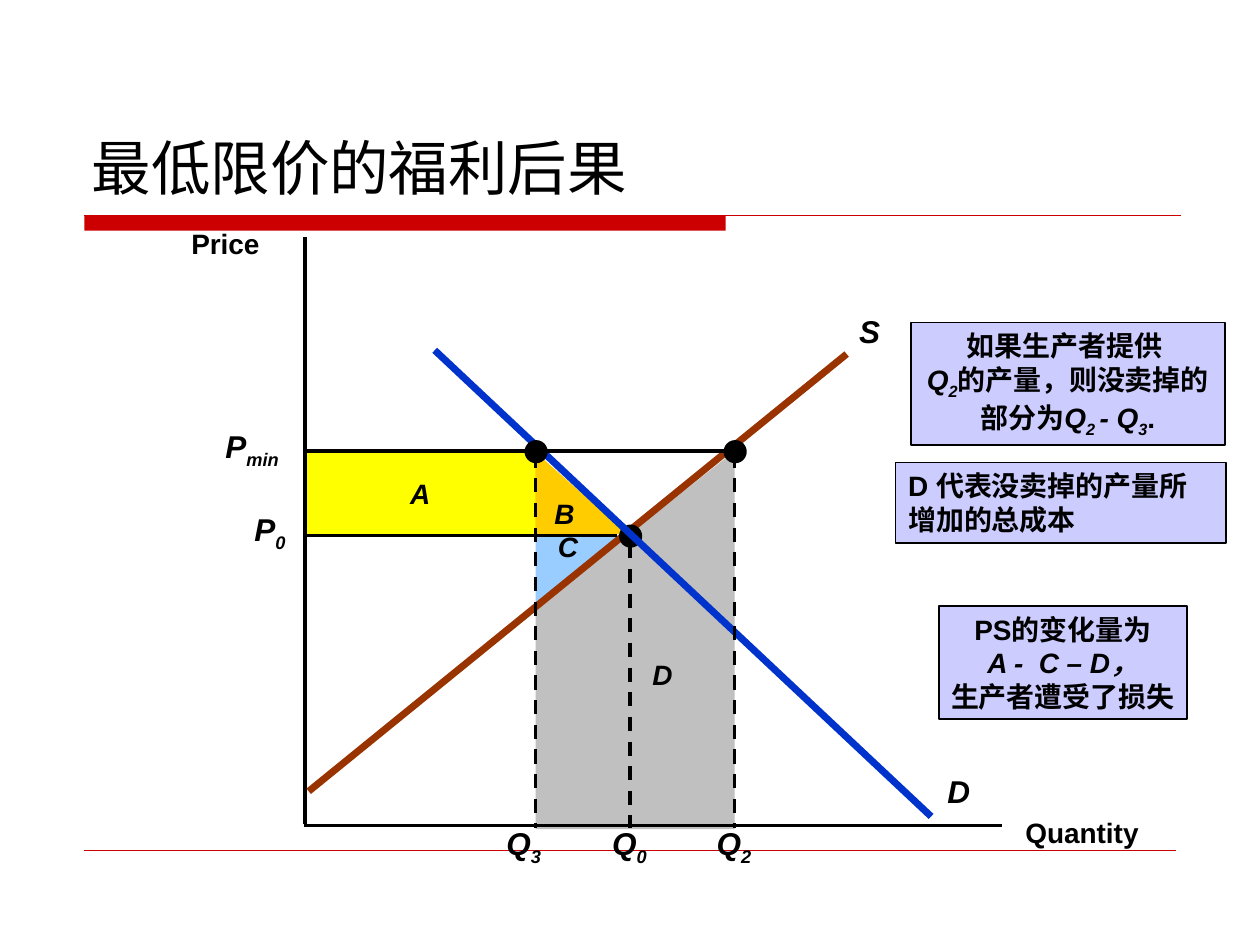
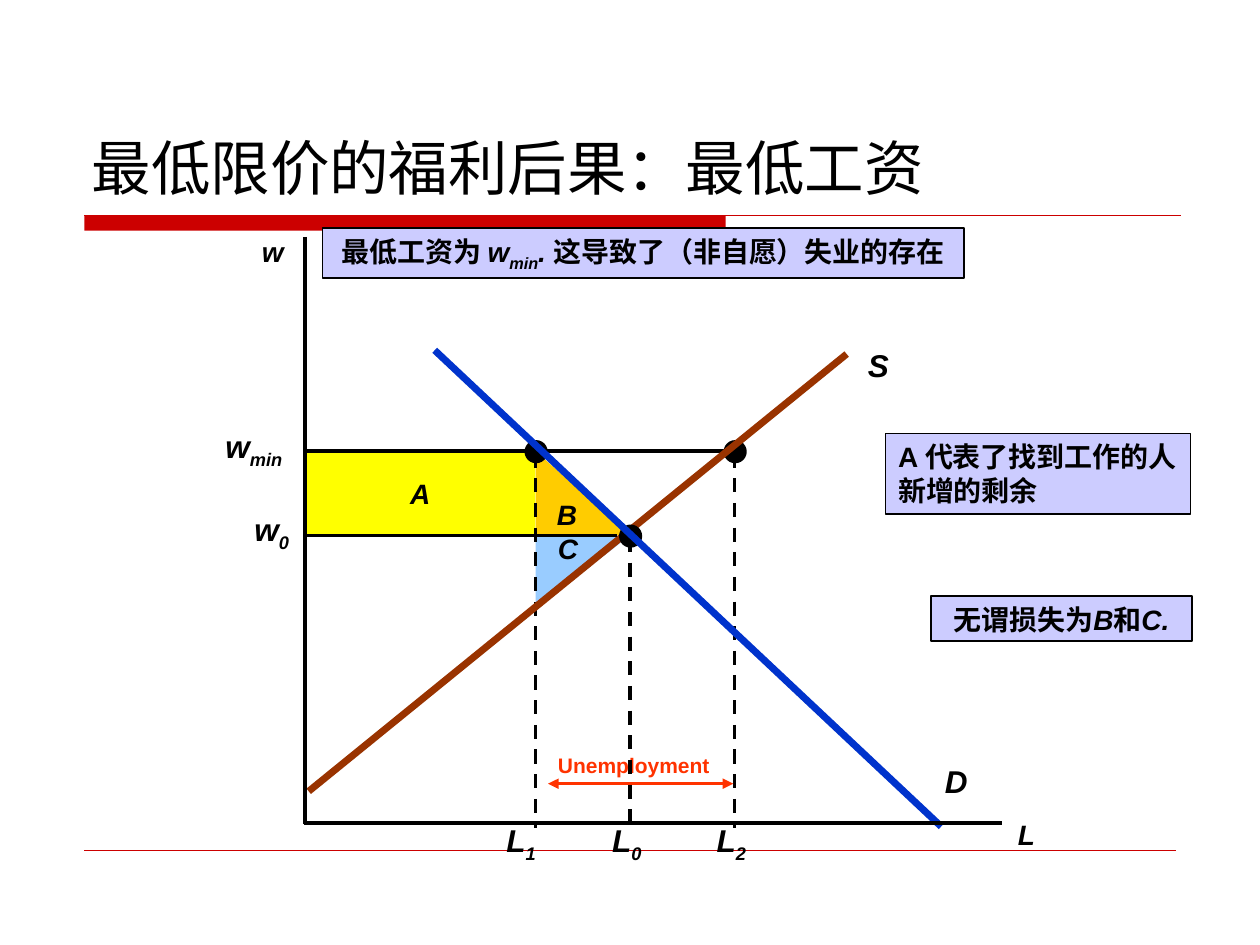
from typing import Iterator, NamedTuple, Union

from lxml import etree
from pptx import Presentation
from pptx import util as u
from pptx.dml.color import RGBColor
from pptx.enum import dml, shapes, text
from pptx.oxml.ns import qn

PX = 9144
ARIAL = "Arial"
TITLE_FONT = "DejaVu Sans"
BLACK = RGBColor(0x00, 0x00, 0x00)
RED = RGBColor(0xCC, 0x00, 0x00)
ORANGE = RGBColor(0xFF, 0x33, 0x00)
AMBER = RGBColor(0xFF, 0xCC, 0x00)
YELLOW = RGBColor(0xFF, 0xFF, 0x00)
SKY = RGBColor(0x99, 0xCC, 0xFF)
GREY = RGBColor(0xC0, 0xC0, 0xC0)
LILAC = RGBColor(0xCC, 0xCC, 0xFF)
BROWN = RGBColor(0x99, 0x33, 0x00)
BLUE = RGBColor(0x00, 0x33, 0xCC)

RECT = shapes.MSO_SHAPE.RECTANGLE
OVAL = shapes.MSO_SHAPE.OVAL
TRIANGLE = shapes.MSO_SHAPE.RIGHT_TRIANGLE
LEFT, CENTER = text.PP_ALIGN.LEFT, text.PP_ALIGN.CENTER
TOP, MIDDLE, BOTTOM = (text.MSO_ANCHOR.TOP, text.MSO_ANCHOR.MIDDLE,
                       text.MSO_ANCHOR.BOTTOM)

AXIS_X = 242
Q_LOW, Q_EQ, Q_HIGH = 425, 500, 583
P_MIN, P_EQ, P_LOW = 358, 425, 483
DROP_END = 657
DOT = 17


class Line(NamedTuple):
    x1: int
    y1: int
    x2: int
    y2: int
    color: RGBColor = BLACK
    width: float = 2
    dashed: bool = False
    arrows: bool = False


class Label(NamedTuple):
    x: int
    y: int
    w: int
    h: int
    text: str
    size: int = 16
    color: RGBColor = BLACK


class Note(NamedTuple):
    x: int
    y: int
    w: int
    h: int
    text: str
    width: float = 1
    align: text.PP_ALIGN = CENTER
    wrap: bool = False


class Area(NamedTuple):
    x: int
    y: int
    w: int
    h: int
    color: RGBColor
    kind: shapes.MSO_SHAPE = RECT
    text: str = ""
    flipped: bool = False


class Outline(NamedTuple):
    points: tuple
    color: RGBColor


class Dot(NamedTuple):
    x: int
    y: int


Item = Union[Line, Label, Note, Area, Outline, Dot]


def italic_and_subscript_parts(s: str) -> Iterator[tuple]:
    for i, part in enumerate(s.split("*")):
        for j, piece in enumerate(part.split("~")):
            if piece:
                yield piece, i % 2 == 1, j % 2 == 1


def write(sp, s: str, *, size: int = 16, font: str = ARIAL,
          color: RGBColor = BLACK, bold: bool = True, align=LEFT,
          anchor=TOP, wrap: bool = False, grow: bool = True) -> None:
    tf = sp.text_frame
    tf.word_wrap = wrap
    tf.vertical_anchor = anchor
    tf.auto_size = (text.MSO_AUTO_SIZE.SHAPE_TO_FIT_TEXT if grow
                    else text.MSO_AUTO_SIZE.NONE)
    for i, row in enumerate(s.split("\n")):
        p = tf.add_paragraph() if i else tf.paragraphs[0]
        p.alignment = align
        for piece, italic, sub in italic_and_subscript_parts(row):
            r = p.add_run()
            r.text = piece
            f = r.font
            f.name, f.size, f.bold, f.italic = font, u.Pt(size), bold, italic
            f.color.rgb = color
            if sub:
                r._r.get_or_add_rPr().set("baseline", "-25000")


def paint(sp, fill: RGBColor, line: float = 0) -> None:
    sp.shadow.inherit = False
    sp.fill.solid()
    sp.fill.fore_color.rgb = fill
    if line:
        sp.line.color.rgb = BLACK
        sp.line.width = u.Pt(line)
    else:
        sp.line.fill.background()


def add_box(s, kind, x: int, y: int, w: int, h: int):
    return s.shapes.add_shape(kind, x * PX, y * PX, w * PX, h * PX)


def add_text(s, x: int, y: int, w: int, h: int, content: str, **fmt) -> None:
    sp = s.shapes.add_textbox(x * PX, y * PX, w * PX, h * PX)
    write(sp, content, wrap=True, **fmt)


def draw_line(s, item: Line) -> None:
    sp = s.shapes.add_connector(
        shapes.MSO_CONNECTOR.STRAIGHT,
        item.x1 * PX, item.y1 * PX, item.x2 * PX, item.y2 * PX)
    sp.line.color.rgb = item.color
    sp.line.width = u.Pt(item.width)
    if item.dashed:
        sp.line.dash_style = dml.MSO_LINE.DASH
    if item.arrows:
        ln = sp.line._get_or_add_ln()
        for end in ("a:headEnd", "a:tailEnd"):
            etree.SubElement(ln, qn(end)).set("type", "triangle")
    etree.SubElement(sp._element.spPr, qn("a:effectLst"))


def draw_area(s, item: Area) -> None:
    sp = add_box(s, item.kind, item.x, item.y, item.w, item.h)
    paint(sp, item.color)
    if item.flipped:
        sp.rotation = 180
        sp._element.spPr.xfrm.set("flipH", "1")
    if item.text:
        write(sp, item.text, align=CENTER, anchor=MIDDLE, grow=False)


def draw_note(s, item: Note) -> None:
    sp = add_box(s, RECT, item.x, item.y, item.w, item.h)
    paint(sp, LILAC, item.width)
    write(sp, item.text, align=item.align, wrap=item.wrap)


def draw_outline(s, item: Outline) -> None:
    start, *rest = item.points
    fb = s.shapes.build_freeform(*start, scale=PX)
    fb.add_line_segments(rest, close=True)
    paint(fb.convert_to_shape(), item.color)


def draw_label(s, item: Label) -> None:
    add_text(s, item.x, item.y, item.w, item.h, item.text,
             size=item.size, color=item.color)


def draw_dot(s, item: Dot) -> None:
    half = DOT // 2
    paint(add_box(s, OVAL, item.x - half, item.y - half, DOT, DOT), BLACK, 1)


DRAW = {Line: draw_line, Label: draw_label, Note: draw_note, Area: draw_area,
        Outline: draw_outline, Dot: draw_dot}


def drop(x: int, y: int) -> Line:
    return Line(x, y, x, DROP_END, dashed=True)


def axes(y: int) -> list[Item]:
    return [Line(AXIS_X, 188, AXIS_X, 654), Line(241, y, 795, y)]


def quantity_labels(y: int, names: tuple) -> list[Item]:
    return [Label(x, y, 56, 44, f"*{name}*", 18)
            for x, name in zip((392, 476, 559), names)]


def price_labels(name: str) -> list[Item]:
    return [Label(169, 334, 74, 44, f"*{name}~min~*", 18),
            Label(192, 400, 56, 44, f"*{name}~0~*", 18)]


def add_frame(s, title: str) -> None:
    paint(add_box(s, RECT, 67, 171, 509, 12), RED)
    draw_line(s, Line(67, 171, 937, 171, RED, 1))
    draw_line(s, Line(67, 675, 933, 675, RED, 0.25))
    add_text(s, 63, 33, 875, 133, title, size=34, font=TITLE_FONT,
             bold=False, anchor=BOTTOM, grow=False)


SUPPLY = Line(245, 628, 672, 281, BROWN, 4)
EQ_LINE = Line(243, P_EQ, 490, P_EQ)
AREA_A = Area(AXIS_X, P_MIN, 183, 67, YELLOW, text="*A*")
AREA_C = Area(Q_LOW, P_EQ, 75, 58, SKY, TRIANGLE, flipped=True)
LOW_DROP, HIGH_DROP = drop(Q_LOW, 360), drop(Q_HIGH, 360)
LOW_DOT, EQ_DOT, HIGH_DOT = (Dot(Q_LOW, P_MIN), Dot(Q_EQ, P_EQ),
                             Dot(Q_HIGH, P_MIN))

PRICE_FLOOR: list[Item] = [
    Area(423, 357, 75, 67, AMBER, TRIANGLE, "*B*"),
    AREA_A,
    Note(745, 481, 197, 90, "PS的变化量为\n*A -  C – D，*\n生产者遭受了损失"),
    AREA_C,
    Label(433, 415, 40, 36, "*C*"),
    Outline(((Q_LOW, P_LOW), (Q_HIGH, P_MIN), (Q_HIGH, 658), (Q_LOW, 658)),
            GREY),
    Label(508, 517, 40, 36, "*D*"),
    *axes(655),
    Label(804, 642, 120, 36, "Quantity"),
    Label(142, 175, 84, 36, "Price"),
    SUPPLY,
    Label(672, 243, 42, 40, "*S*", 18),
    Label(742, 608, 42, 40, "*D*", 18),
    EQ_LINE, EQ_DOT, drop(Q_EQ, 432),
    Line(345, 278, 739, 648, BLUE, 4),
    LOW_DROP, HIGH_DROP,
    *quantity_labels(649, ("Q~3~", "Q~0~", "Q~2~")),
    *price_labels("P"),
    LOW_DOT, Line(243, P_MIN, 590, P_MIN), HIGH_DOT,
    Note(723, 256, 249, 97,
         "如果生产者提供 \n*Q~2~*的产量，则没卖掉的\n部分为*Q~2 ~- Q~3~*."),
    Note(711, 367, 262, 64, "D 代表没卖掉的产量所增加的总成本",
         0.75, LEFT, True),
]

MINIMUM_WAGE: list[Item] = [
    Area(Q_LOW, P_MIN, 75, 67, AMBER, TRIANGLE, "*B*"),
    Note(739, 473, 207, 36, "无谓损失为*B*和*C.*"),
    AREA_C,
    Label(433, 417, 40, 36, "*C*"),
    AREA_A, LOW_DROP, HIGH_DROP,
    Line(435, 622, 582, 622, ORANGE, arrows=True),
    Label(433, 592, 155, 30, "Unemployment", 12, ORANGE),
    *price_labels("w"),
    Line(243, P_MIN, 577, P_MIN), HIGH_DOT, LOW_DOT,
    Note(256, 181, 509, 40,
         "最低工资为 *w~min~. *这导致了（非自愿）失业的存在"),
    SUPPLY,
    Label(679, 270, 42, 40, "*S*", 18),
    Label(740, 600, 42, 40, "*D*", 18),
    EQ_LINE, drop(Q_EQ, 427), EQ_DOT,
    *quantity_labels(647, ("L~1~", "L~0~", "L~2~")),
    Line(345, 278, 747, 656, BLUE, 4),
    *axes(653),
    Label(798, 644, 40, 36, "*L*"),
    Label(198, 181, 42, 36, "*w*"),
    Note(703, 344, 242, 64, "A 代表了找到工作的人新增的剩余",
         0.75, LEFT, True),
]

SLIDES = (("最低限价的福利后果", PRICE_FLOOR),
          ("最低限价的福利后果：最低工资", MINIMUM_WAGE))


def main() -> None:
    prs = Presentation()
    prs.slide_width, prs.slide_height = 1000 * PX, 750 * PX
    for title, items in SLIDES:
        s = prs.slides.add_slide(prs.slide_layouts[6])
        add_frame(s, title)
        for item in items:
            DRAW[type(item)](s, item)
    prs.save("out.pptx")


if __name__ == "__main__":
    main()
